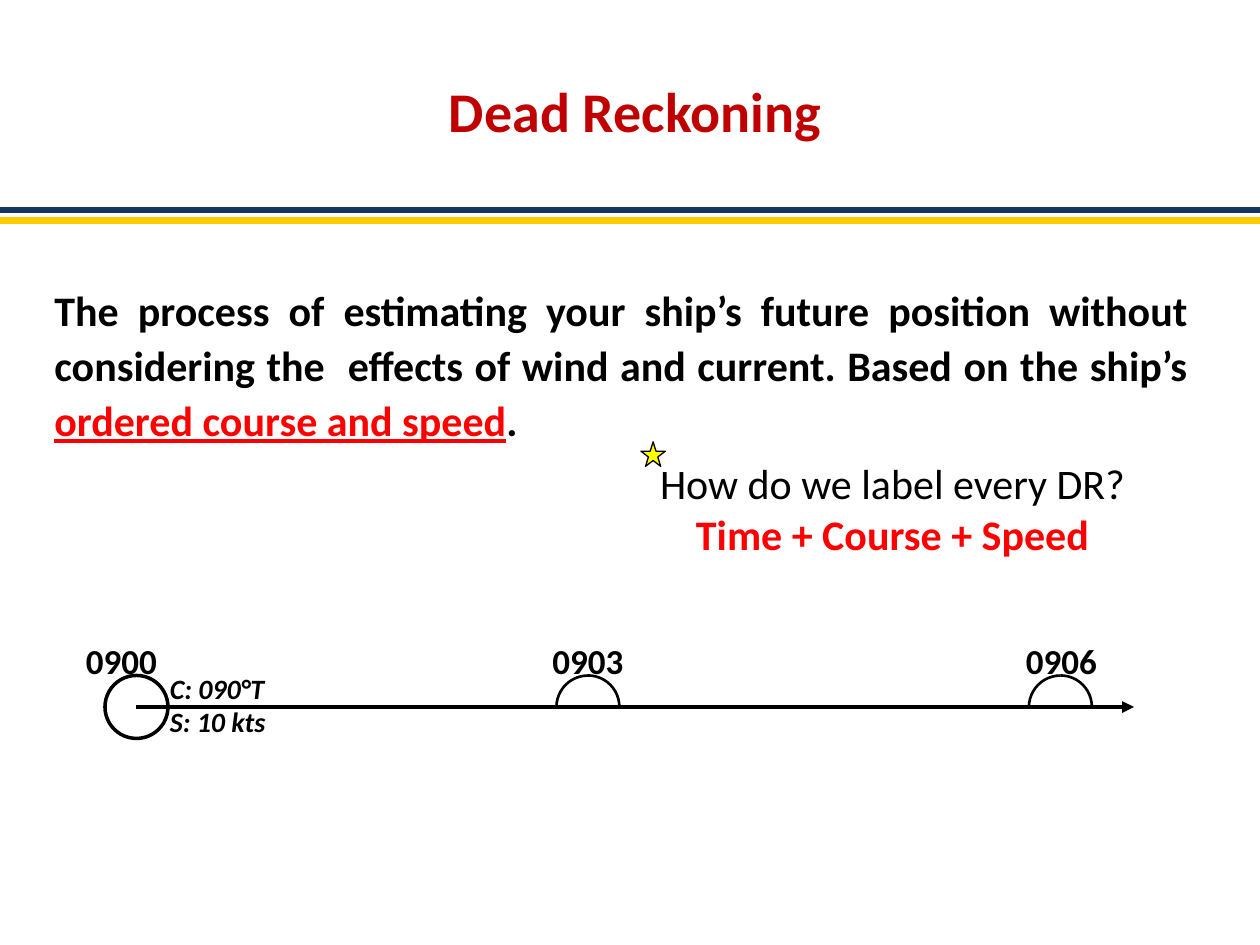
"""Build the Dead Reckoning slide with its labelled course line."""
from pptx import Presentation
from pptx.dml.color import RGBColor
from pptx.enum import shapes, text
from pptx.oxml.ns import qn
from pptx.util import Pt
from lxml import etree

BLACK, RED = "000000", "FF0000"
LEFT, CENTER = text.PP_ALIGN.LEFT, text.PP_ALIGN.CENTER
color = RGBColor.from_string

deck = Presentation()
deck.slide_width, deck.slide_height = Pt(720), Pt(540)
slide = deck.slides.add_slide(deck.slide_layouts[6])


def add_text(box, lines, size, align=LEFT, italic=False):
    frame = slide.shapes.add_textbox(*map(Pt, box)).text_frame
    frame.word_wrap = True
    for i, (words, ink, bold) in enumerate(lines):
        paragraph = frame.paragraphs[0] if i == 0 else frame.add_paragraph()
        paragraph.text = words
        paragraph.alignment = align
        font = paragraph.font
        font.name, font.size, font.bold, font.italic = "Calibri", Pt(size), bold, italic
        font.color.rgb = color(ink)
    return frame


def add_line(x1, x2, y, ink, width):
    line = slide.shapes.add_connector(shapes.MSO_CONNECTOR.STRAIGHT, Pt(x1), Pt(y), Pt(x2), Pt(y))
    line.line.color.rgb = color(ink)
    line.line.width = Pt(width)
    etree.SubElement(line._element.spPr, qn("a:effectLst"))
    return line


for y, ink in ((126, "FFCC00"), (120.25, "17365D")):
    add_line(0, 720, y, ink, 3.5)

title = add_text((39, 18, 648, 90), [("Dead Reckoning", "C00000", True)], 32, CENTER)
title.vertical_anchor = text.MSO_ANCHOR.MIDDLE

definition = add_text((24, 156, 662, 103), [(
    "The process of estimating your ship’s future position without considering the  "
    "effects of wind and current. Based on the ship’s ", BLACK, True)], 24,
    text.PP_ALIGN.JUSTIFY).paragraphs[0]
definition.line_spacing = 1.1
basis = definition.add_run()
basis.text = "ordered course and speed"
basis.font.color.rgb = color(RED)
basis.font.underline = True
definition.add_run().text = "."

course_y, radius = 404, 18
course = add_line(78, 648, course_y, BLACK, 2.25)
etree.SubElement(course.line._get_or_add_ln(), qn("a:tailEnd"), type="triangle")

OVAL, ARC, STAR = (getattr(shapes.MSO_SHAPE, kind) for kind in ("OVAL", "ARC", "STAR_5_POINT"))
fix_top = course_y - radius
marks = [(OVAL, 60, fix_top, 2 * radius, 0, 2, None)]
marks += [(ARC, x, fix_top, 2 * radius, turn, 1.5, None) for x in (318, 588) for turn in (0, 270)]
marks.append((STAR, 366.25, 252.5, 14, 0, 0.75, "FFFF00"))
for kind, x, y, side, turn, width, fill in marks:
    mark = slide.shapes.add_shape(kind, Pt(x), Pt(y), Pt(side), Pt(side))
    mark.rotation = turn
    mark.shadow.inherit = False
    mark.line.color.rgb = color(BLACK)
    mark.line.width = Pt(width)
    if fill:
        mark.fill.solid()
        mark.fill.fore_color.rgb = color(fill)
    else:
        mark.fill.background()

for time, x, align in (("0900", 42, LEFT), ("0903", 306, CENTER), ("0906", 576.5, CENTER)):
    add_text((x, 362, 60, 31.5), [(time, BLACK, True)], 20, align)

add_text((90, 380, 90, 46), [("C: 090°T", BLACK, True), ("S: 10 kts", BLACK, True)], 16, italic=True)
add_text((336, 258, 348, 65.5), [("How do we label every DR?", BLACK, False),
                                 ("Time + Course + Speed", RED, True)], 24, CENTER)

deck.save("out.pptx")
